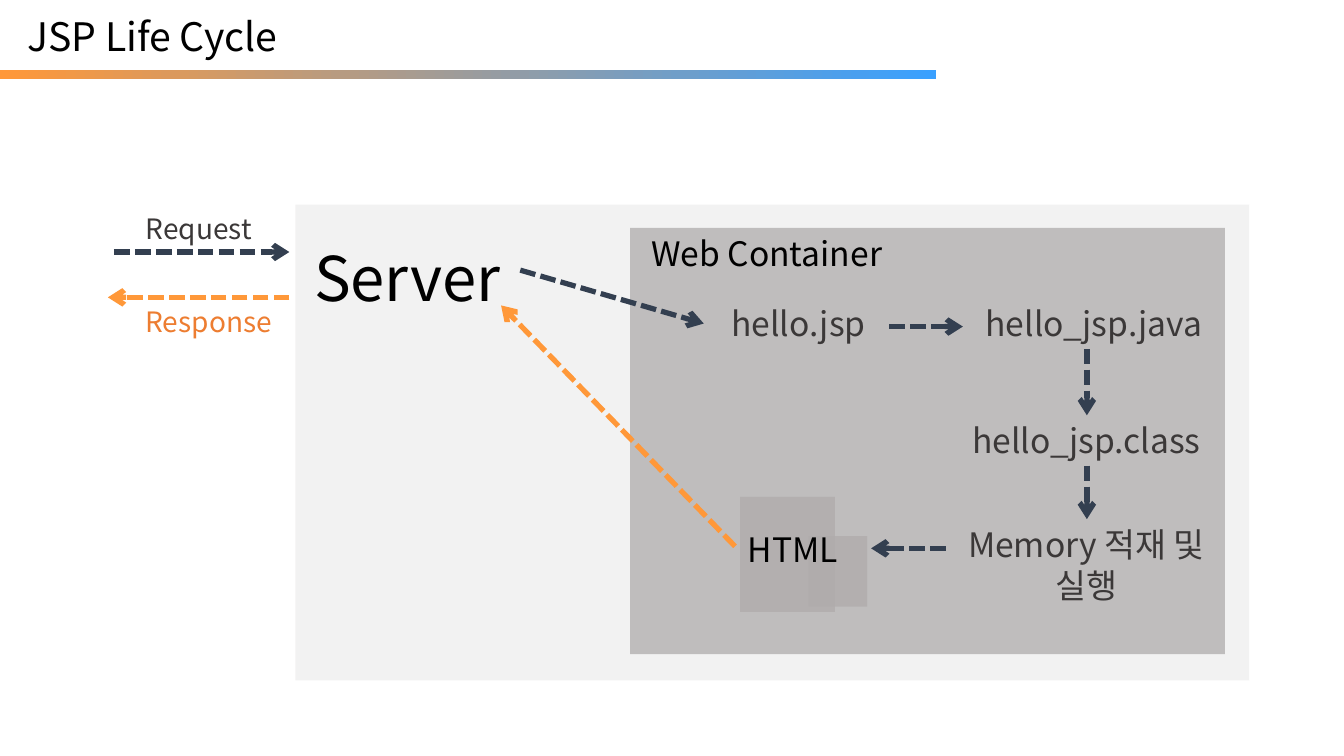
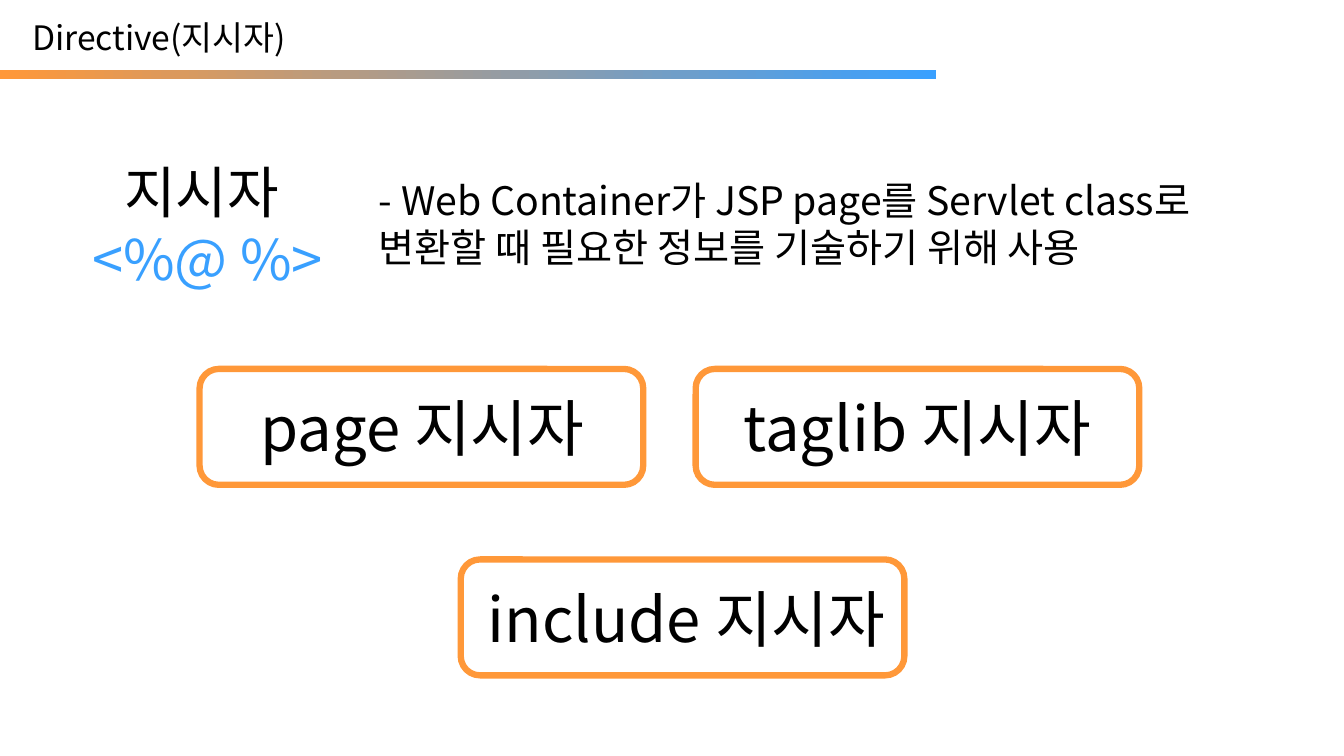
from lxml import etree
from pptx import Presentation
from pptx import util as u
from pptx.dml import color
from pptx.enum import dml, shapes, text
from pptx.oxml import ns

PX = 9144  # 100 px to the inch
FONT = "Noto Sans CJK KR"
BLACK, GREY, NAVY = "000000", "3B3838", "333F50"
ORANGE, BLUE, RUST = "FF9839", "39A0FF", "ED7D31"
LEFT, MID = text.PP_ALIGN.LEFT, text.PP_ALIGN.CENTER


def px(*vals):
    return [u.Emu(val * PX) for val in vals]


def rgb(hue):
    return color.RGBColor.from_string(hue)


def sub(node, tag, **attrs):
    return etree.SubElement(node, ns.qn(tag), **attrs)


def write(frame, lines, size, align=LEFT):
    """Fill a frame with (wording, colour) lines."""
    frame.word_wrap = True
    frame.text = "\n".join(words for words, hue in lines)
    for para, (words, hue) in zip(frame.paragraphs, lines):
        para.alignment = align
        for run in para.runs:
            run.font.size = u.Pt(size)
            run.font.name = FONT
            run.font.color.rgb = rgb(hue)
            sub(run.font._element, "a:ea", typeface=FONT)


def label(slide, box, words, size=24, hue=GREY, align=MID):
    frame = slide.shapes.add_textbox(*px(*box)).text_frame
    write(frame, [(words, hue)], size, align)


def panel(slide, box, hue, alpha):
    """Draw a plain rectangle, alpha percent opaque."""
    rect = slide.shapes.add_shape(shapes.MSO_SHAPE.RECTANGLE, *px(*box))
    rect.shadow.inherit = False
    rect.line.fill.background()
    rect.fill.solid()
    rect.fill.fore_color.rgb = rgb(hue)
    tint = rect._element.spPr.find(".//" + ns.qn("a:srgbClr"))
    sub(tint, "a:alpha", val=str(alpha * 1000))


def arrow(slide, x1, y1, x2, y2, hue=NAVY):
    link = slide.shapes.add_connector(
        shapes.MSO_CONNECTOR.STRAIGHT, *px(x1, y1, x2, y2))
    link.line.width = u.Pt(3.75)
    link.line.color.rgb = rgb(hue)
    link.line.dash_style = dml.MSO_LINE.SQUARE_DOT
    sub(link.line._get_or_add_ln(), "a:tailEnd", type="arrow")
    sub(link._element.spPr, "a:effectLst")


def start(deck, words, box, size):
    """Add a slide with its title and the gradient band below it."""
    slide = deck.slides.add_slide(deck.slide_layouts[5])
    title = slide.shapes.title
    title.left, title.top, title.width, title.height = px(*box)
    frame = title.text_frame
    frame.auto_size = text.MSO_AUTO_SIZE.NONE
    frame.vertical_anchor = text.MSO_ANCHOR.TOP
    write(frame, [(words, BLACK)], size)
    band = slide.shapes.add_shape(
        shapes.MSO_SHAPE.RECTANGLE, *px(0, 69, 928, 9))
    band.shadow.inherit = False
    band.line.fill.background()
    band.fill.gradient()
    band.fill.gradient_angle = 0
    for stop, hue in zip(band.fill.gradient_stops, (ORANGE, BLUE)):
        stop.color.rgb = rgb(hue)
    return slide


def client(slide, x, y):
    """Place the request and response arrows with their labels."""
    label(slide, (x + 14, y, 152, 44), "Request", 20)
    arrow(slide, x + 6, y + 45, x + 180, y + 45)
    arrow(slide, x + 180, y + 90, x, y + 90, ORANGE)
    label(slide, (x + 20, y + 92, 160, 44), "Response", 20, RUST)


def output(slide, x, y):
    panel(slide, (x, y, 94, 114), "AFABAB", 74)
    panel(slide, (x + 68, y + 39, 58, 70), "AFABAB", 74)
    label(slide, (x - 2, y + 27, 112, 50), "HTML", hue=BLACK, align=LEFT)


def steps(slide, x, y):
    """Place the steps from the JSP file to HTML in the container."""
    label(slide, (x + 11, y, 262, 50), "Web Container", hue=BLACK, align=LEFT)
    for left, top, wide, high, words in (
            (73, 70, 188, 50, "hello.jsp"),
            (316, 70, 288, 50, "hello_jsp.java"),
            (311, 186, 283, 50, "hello_jsp.class"),
            (311, 289, 283, 91, "Memory 적재 및 실행")):
        label(slide, (x + left, y + top, wide, high), words)
    output(slide, x + 109, y + 267)
    for x1, y1, x2, y2 in (
            (257, 98, 330, 98), (453, 120, 453, 186),
            (453, 236, 453, 289), (313, 318, 239, 318)):
        arrow(slide, x + x1, y + y1, x + x2, y + y2)


def cycle(deck):
    slide = start(deck, "JSP Life Cycle", (17, 7, 586, 57), 28)
    server, inner = (293, 203, 946, 472), (625, 226, 590, 423)
    panel(slide, inner, "767171", 75)
    panel(slide, server, "E7E6E6", 50)
    x, y = server[:2]
    label(slide, (x - 1, y + 30, 224, 84), "Server", 44, BLACK)
    client(slide, x - 186, y + 2)
    steps(slide, *inner[:2])
    arrow(slide, x + 223, y + 65, x + 405, y + 118)
    arrow(slide, x + 436, y + 339, x + 204, y + 100, ORANGE)


def card(slide, x, y, words, inset):
    box = slide.shapes.add_shape(
        shapes.MSO_SHAPE.ROUNDED_RECTANGLE, *px(x, y, 440, 115))
    box.shadow.inherit = False
    box.fill.background()
    box.line.color.rgb = rgb(ORANGE)
    box.line.width = u.Pt(4.5)
    frame = box.text_frame
    frame.margin_left, frame.margin_right = px(inset, 0)
    frame.vertical_anchor = text.MSO_ANCHOR.MIDDLE
    write(frame, [(words, BLACK)], 44, MID)


def direct(deck):
    slide = start(deck, "Directive(지시자)", (22, 12, 383, 50), 24)
    sign = slide.shapes.add_textbox(*px(73, 151, 266, 145))
    write(sign.text_frame, [("지시자 ", BLACK), ("<%@ %>", BLUE)], 40, MID)
    label(slide, (366, 170, 850, 104),
          "- Web Container가 JSP page를 Servlet class로 변환할 때 "
          "필요한 정보를 기술하기 위해 사용", 28, BLACK, LEFT)
    for x, y, name, inset in ((198, 366, "page", 2), (690, 366, "taglib", 0),
                              (457, 555, "include", 8)):
        card(slide, x, y, name + " 지시자", inset)


def main():
    deck = Presentation()
    deck.slide_width, deck.slide_height = px(1333, 750)
    cycle(deck)
    direct(deck)
    deck.save("out.pptx")


if __name__ == "__main__":
    main()
